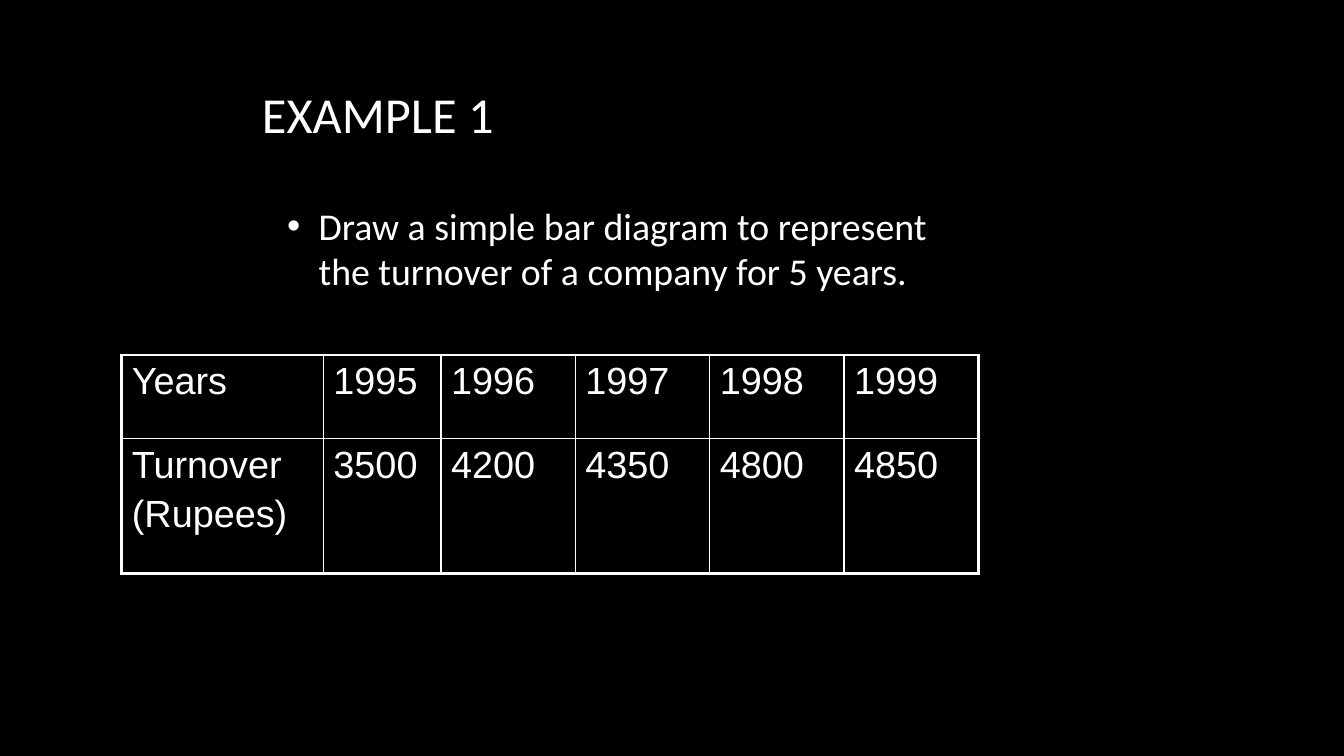
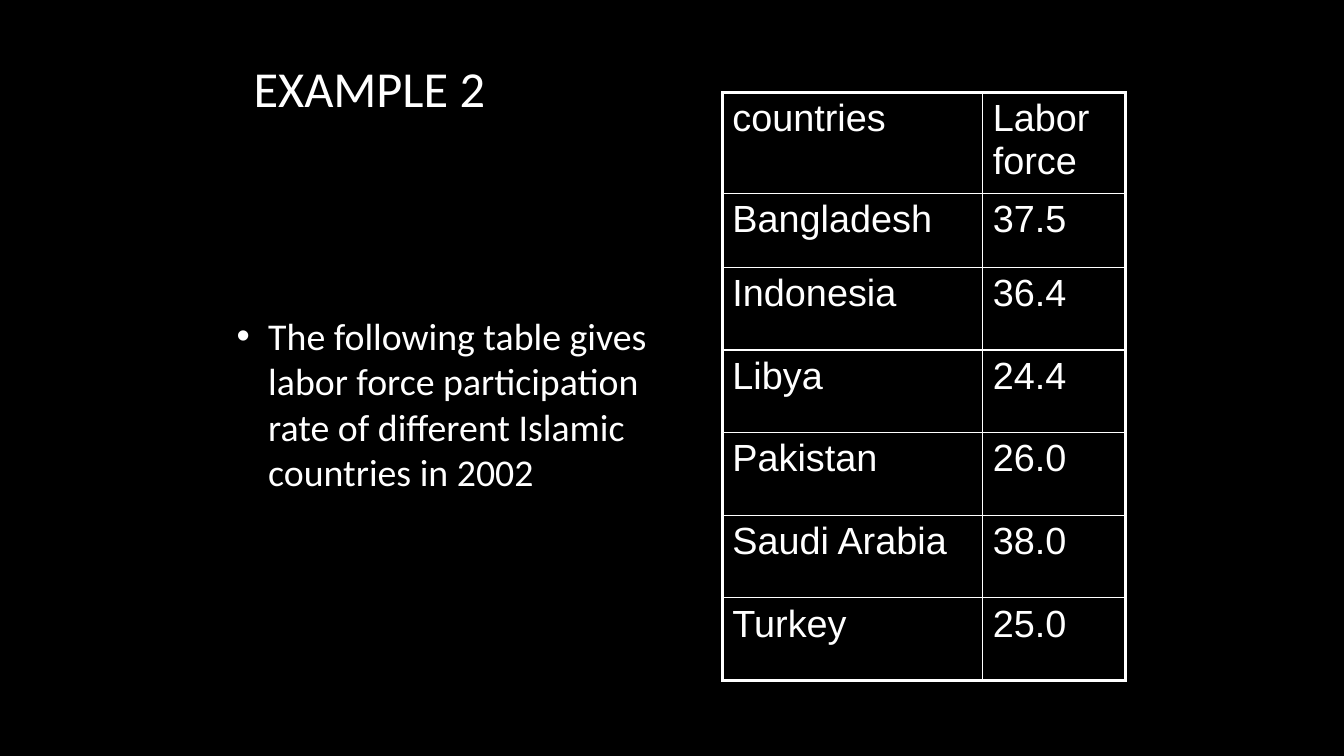
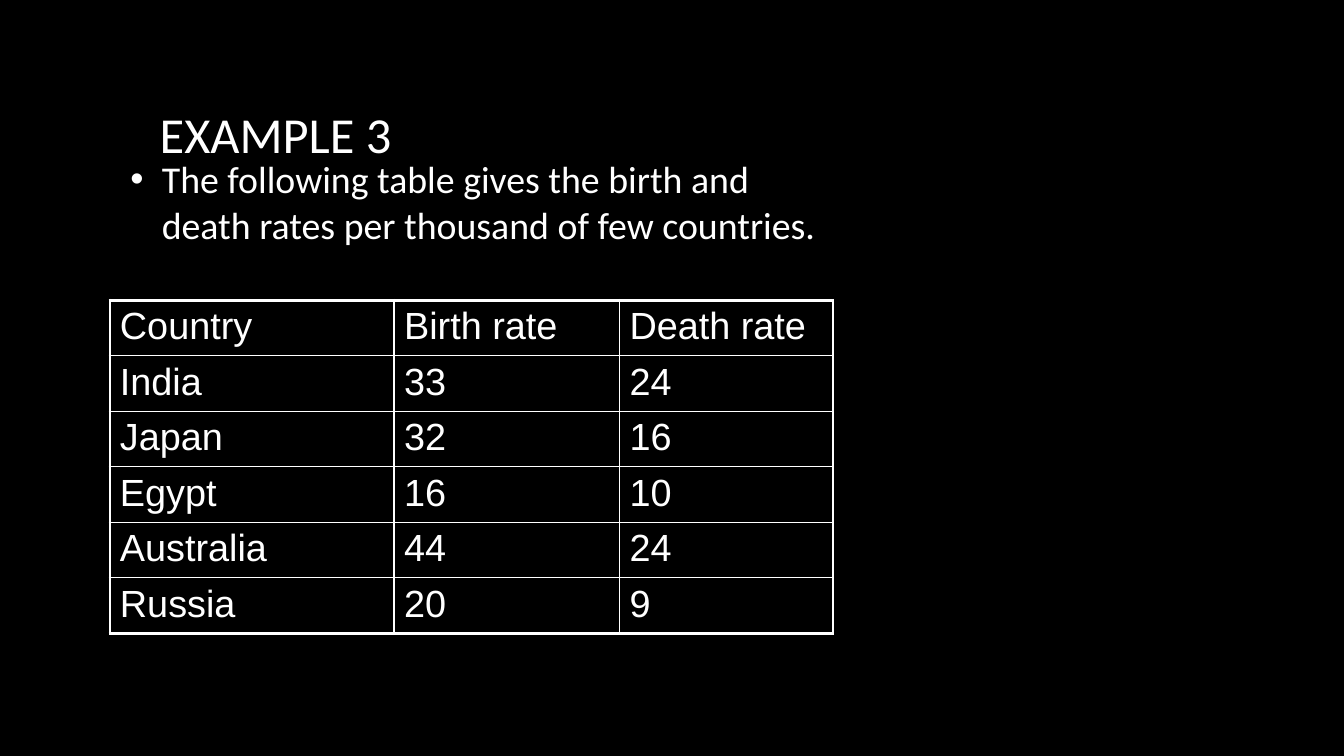
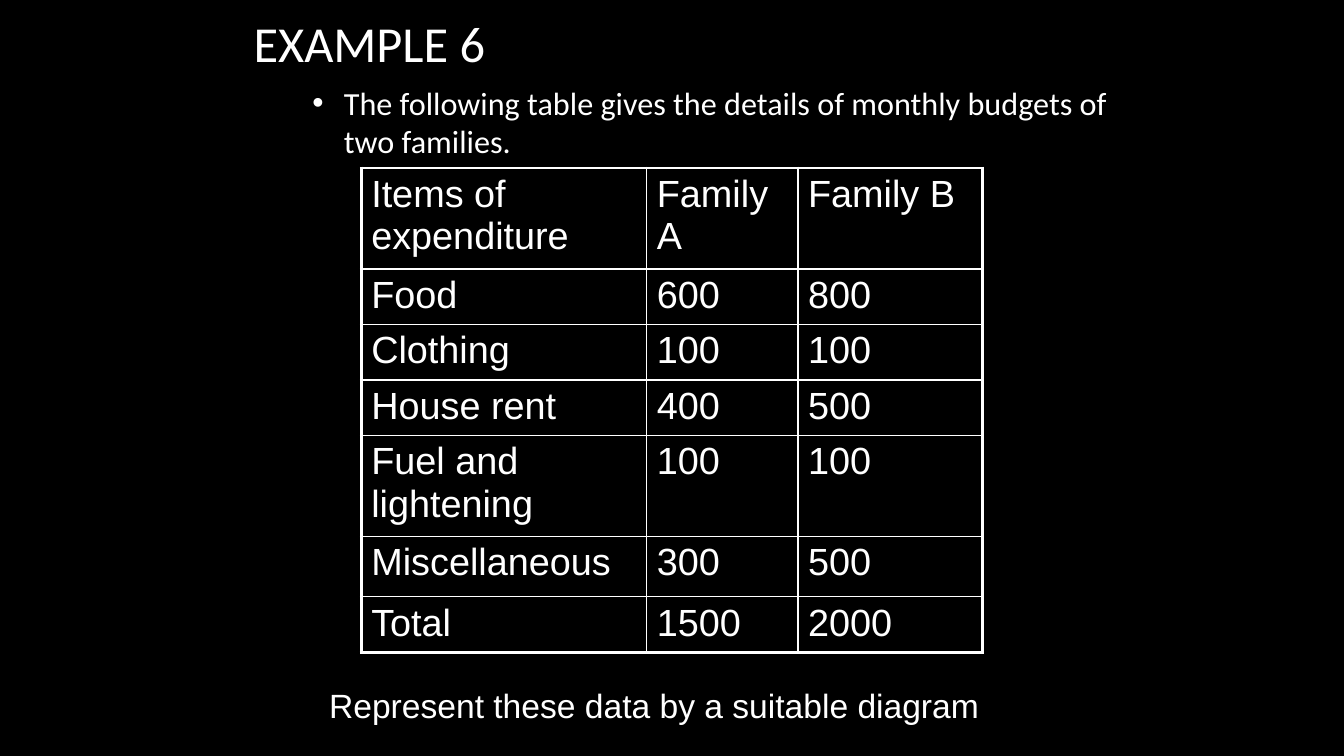
"""Build four slides of statistics exercises, each with a title, a task and a data table."""
from lxml.etree import SubElement
from pptx import Presentation
from pptx.dml.color import RGBColor
from pptx.enum.text import MSO_ANCHOR
from pptx.oxml.ns import qn
from pptx.util import Pt

COLORS = {"background": "000000", "text": "FFFFFF", "border": "FFFFFF"}
TEXT_FONT, TABLE_FONT = "Calibri", "Arial"
TITLE_SIZE, TABLE_SIZE = 36, 27
OUTER_BORDER, INNER_BORDER = 2.25, 1
BULLET_INDENT = 22.5

EXAMPLES = [
    {
        "title": "EXAMPLE 1", "title_box": (180, 36, 558, 90),
        "task": "Draw a simple bar diagram to represent the turnover of a company for 5 years.",
        "task_box": (198, 132, 480, 90), "task_size": 27,
        "table_at": (87, 253.5), "columns": [144, 84] + [96] * 4, "rows": [60, 96],
        "cells": [
            ("Years", "1995", "1996", "1997", "1998", "1999"),
            ("Turnover\n(Rupees)", "3500", "4200", "4350", "4800", "4850"),
        ],
    },
    {
        "title": "EXAMPLE 2", "title_box": (174, 0, 492, 124.5),
        "task": "The following table gives labor force participation rate of "
                "different Islamic countries in 2002",
        "task_box": (162, 156, 348, 264), "task_size": 27,
        "table_at": (516, 66), "columns": [186, 102], "rows": [67, 53] + [59] * 5,
        "cells": [
            ("countries", "Labor force"),
            ("Bangladesh", "37.5"),
            ("Indonesia", "36.4"),
            ("Libya", "24.4"),
            ("Pakistan", "26.0"),
            ("Saudi Arabia", "38.0"),
            ("Turkey", "25.0"),
        ],
    },
    {
        "title": "EXAMPLE 3", "title_box": (107, 38, 558, 114),
        "task": "The following table gives the birth and death rates per thousand of few countries.",
        "task_box": (86, 0, 522, 288), "task_size": 27,
        "table_at": (78.5, 214.5), "columns": [203, 161, 152.5], "rows": [39.6] * 6,
        "cells": [
            ("Country", "Birth rate", "Death rate"),
            ("India", "33", "24"),
            ("Japan", "32", "16"),
            ("Egypt", "16", "10"),
            ("Australia", "44", "24"),
            ("Russia", "20", "9"),
        ],
    },
    {
        "title": "EXAMPLE 6", "title_box": (174, 0, 558, 60),
        "task": "The following table gives the details of monthly budgets of two families.",
        "task_box": (216, 54, 624, 66), "task_size": 23,
        "table_at": (258, 120), "columns": [204, 108, 132],
        "rows": [72] + [39.6] * 3 + [72, 43.2, 39.6],
        "cells": [
            ("Items of expenditure", "Family A", "Family B"),
            ("Food", "600", "800"),
            ("Clothing", "100", "100"),
            ("House rent", "400", "500"),
            ("Fuel and lightening", "100", "100"),
            ("Miscellaneous", "300", "500"),
            ("Total", "1500", "2000"),
        ],
        "closing": "Represent these data by a suitable diagram",
        "closing_box": (228, 486, 574, 36),
    },
]


def write_text(frame, text, *, size, font=TEXT_FONT, bullet=False, gap=0):
    frame.word_wrap = True
    for index, line in enumerate(text.split("\n")):
        paragraph = frame.add_paragraph() if index else frame.paragraphs[0]
        if index:
            paragraph.space_before = Pt(gap)
        if bullet:
            paragraph.space_after = Pt(10)
            properties = paragraph._p.get_or_add_pPr()
            properties.set("marL", str(Pt(BULLET_INDENT)))
            properties.set("indent", str(-Pt(BULLET_INDENT)))
            SubElement(properties, qn("a:buFont")).set("typeface", "Arial")
            SubElement(properties, qn("a:buChar")).set("char", "•")
        run = paragraph.add_run()
        run.text = line
        run.font.size = Pt(size)
        run.font.name = font
        run.font.color.rgb = RGBColor.from_string(COLORS["text"])


def add_text(slide, box, text, *, anchor=MSO_ANCHOR.MIDDLE, **text_format):
    frame = slide.shapes.add_textbox(*map(Pt, box)).text_frame
    frame.vertical_anchor = anchor
    write_text(frame, text, **text_format)


def set_borders(cell, outer_sides):
    properties = cell._tc.get_or_add_tcPr()
    for side, is_outer in outer_sides.items():
        width = OUTER_BORDER if is_outer else INNER_BORDER
        line = SubElement(properties, qn(f"a:ln{side}"), w=str(Pt(width)))
        fill = SubElement(line, qn("a:solidFill"))
        SubElement(fill, qn("a:srgbClr"), val=COLORS["border"])


def add_data_table(slide, position, columns, rows, cells):
    left, top = position
    frame = slide.shapes.add_table(
        len(rows), len(columns), Pt(left), Pt(top), Pt(sum(columns)), Pt(sum(rows)))
    table = frame.table
    table.first_row = table.horz_banding = False
    for column, width in zip(table.columns, columns):
        column.width = Pt(width)
    for row, height in zip(table.rows, rows):
        row.height = Pt(height)
    for row_index, values in enumerate(cells):
        for column_index, value in enumerate(values):
            cell = table.cell(row_index, column_index)
            write_text(cell.text_frame, value, size=TABLE_SIZE, font=TABLE_FONT, gap=5)
            set_borders(cell, {
                "L": column_index == 0, "R": column_index == len(columns) - 1,
                "T": row_index == 0, "B": row_index == len(rows) - 1,
            })
            cell.fill.background()


def main():
    presentation = Presentation()
    presentation.slide_width, presentation.slide_height = Pt(960), Pt(540)
    background = presentation.slide_master.background.fill
    background.solid()
    background.fore_color.rgb = RGBColor.from_string(COLORS["background"])
    for example in EXAMPLES:
        slide = presentation.slides.add_slide(presentation.slide_layouts[6])
        add_text(slide, example["title_box"], example["title"], size=TITLE_SIZE)
        add_text(slide, example["task_box"], example["task"],
                 size=example["task_size"], bullet=True)
        add_data_table(slide, example["table_at"], example["columns"],
                       example["rows"], example["cells"])
        if "closing" in example:
            add_text(slide, example["closing_box"], example["closing"],
                     size=24, font=TABLE_FONT, anchor=MSO_ANCHOR.TOP)
    presentation.save("out.pptx")


if __name__ == "__main__":
    main()
